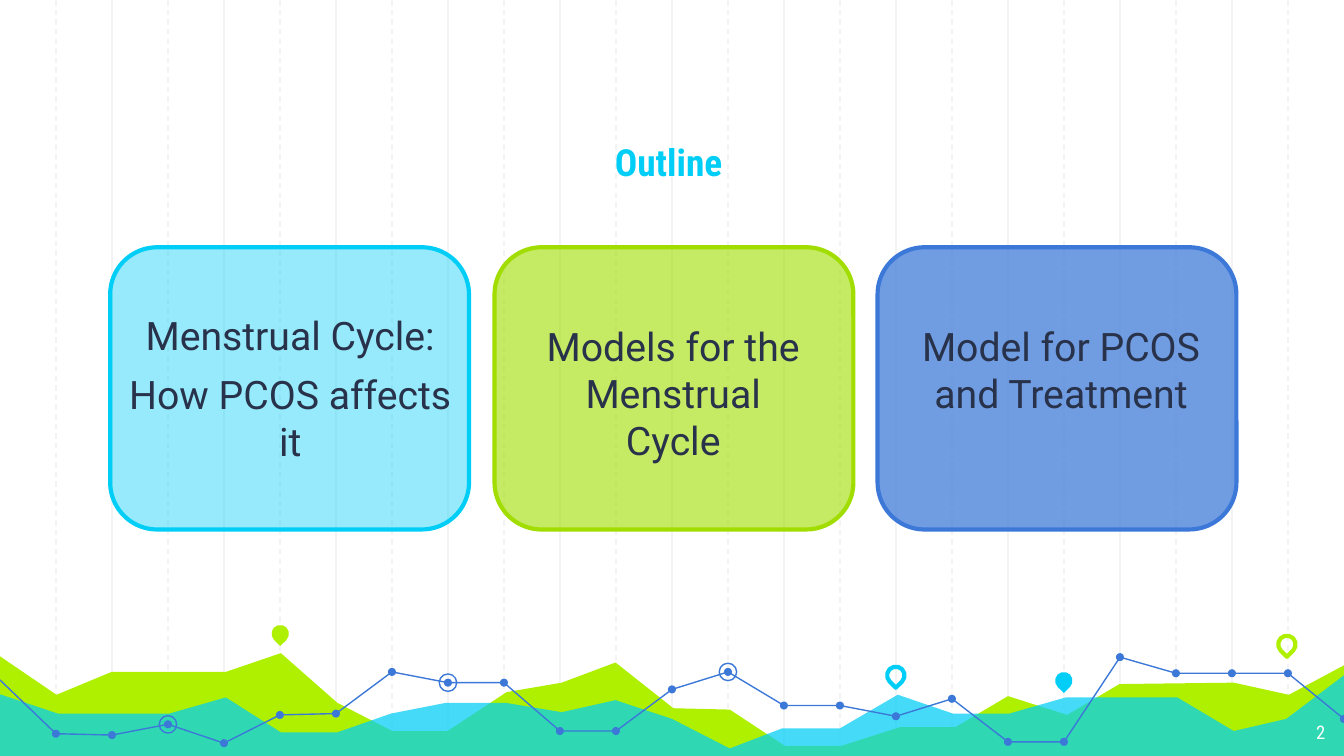
"""Build the outline slide with three topic cards over a chart-like landscape."""
from dataclasses import dataclass

from lxml.etree import SubElement
from pptx import Presentation
from pptx.dml.color import RGBColor
from pptx.enum.dml import MSO_LINE_DASH_STYLE as Dash
from pptx.enum.shapes import MSO_CONNECTOR as Connector, MSO_SHAPE as Shape
from pptx.enum.text import MSO_ANCHOR as Anchor, PP_ALIGN as Align
from pptx.oxml.ns import qn
from pptx.util import Inches, Pt


@dataclass(frozen=True)
class Theme:
    cyan: str = "00CEF6"
    lime: str = "AFF000"
    green: str = "A1DD00"
    blue: str = "3C78D8"
    ink: str = "28324A"
    grid: str = "F3F3F3"
    white: str = "FFFFFF"
    heading_font: str = "Roboto Condensed"
    body_font: str = "Roboto"
    title_size: int = 20
    body_size: int = 21
    number_size: int = 10


theme = Theme()


def paint(shape, fill=None, opacity=100, line=None, width=0.75):
    shape.shadow.inherit = False
    if fill:
        shape.fill.solid()
        shape.fill.fore_color.rgb = RGBColor.from_string(fill)
        if opacity < 100:
            color = shape.fill._xPr.find(".//" + qn("a:srgbClr"))
            SubElement(color, qn("a:alpha"), val=str(opacity * 1000))
    else:
        shape.fill.background()
    if line:
        shape.line.color.rgb = RGBColor.from_string(line)
        shape.line.width = Pt(width)
    else:
        shape.line.fill.background()


def write(shape, texts, size, font, color, align=Align.CENTER, bold=False, anchor=Anchor.TOP):
    frame = shape.text_frame
    frame.word_wrap = True
    frame.vertical_anchor = anchor
    frame.margin_left = frame.margin_right = Inches(0.1)
    frame.margin_top = frame.margin_bottom = Inches(0.1)
    for index, text in enumerate(texts):
        paragraph = frame.add_paragraph() if index else frame.paragraphs[0]
        paragraph.alignment = align
        paragraph.space_before = Pt(6 if index else 0)
        run = paragraph.add_run()
        run.text = text
        run.font.size = Pt(size)
        run.font.name = font
        run.font.bold = bold
        run.font.color.rgb = RGBColor.from_string(color)


presentation = Presentation()
presentation.slide_width = Inches(10)
presentation.slide_height = Inches(10 * 9 / 16)
slide = presentation.slides.add_slide(presentation.slide_layouts[5])
shapes = slide.shapes
step = 10 / 24

for first, dash in ((2, None), (1, Dash.DASH)):
    for column in range(first, 24, 2):
        x = Inches(column * step)
        grid_line = shapes.add_connector(Connector.STRAIGHT, x, 0, x, Inches(5.65))
        grid_line.line.color.rgb = RGBColor.from_string(theme.grid)
        grid_line.line.width = Pt(0.75)
        grid_line.line.dash_style = dash
        SubElement(grid_line._element.spPr, qn("a:effectLst"))

lime_hills = [
    (-0.02, 4.87), (0.42, 5.17), (0.83, 5), (1.68, 5), (2.09, 4.86), (2.51, 5.23),
    (2.92, 5.44), (3.33, 5.44), (3.77, 5.15), (4.18, 5.08), (4.58, 4.93), (5.01, 5.27),
    (5.43, 5.28), (5.84, 5.55), (6.26, 5.55), (6.7, 5.41), (7.11, 5.41), (7.5, 5.18),
    (7.94, 5.32), (8.33, 5.09), (9.18, 5.08), (9.59, 5.17), (10.02, 4.94),
]
cyan_hills = [
    (-0.02, 5.16), (0.43, 5.31), (1.26, 5.31), (1.68, 5.19), (2.09, 5.45), (2.51, 5.45),
    (2.91, 5.31), (3.32, 5.23), (3.76, 5.23), (4.18, 5.3), (4.58, 5.21), (5, 5.35),
    (5.43, 5.57), (5.82, 5.42), (6.25, 5.42), (6.68, 5.17), (7.09, 5.31), (7.51, 5.31),
    (7.93, 5.19), (8.76, 5.19), (9.18, 5.44), (9.57, 5.35), (10.02, 5.01),
]
for ridge, color, opacity in ((lime_hills, theme.lime, 100), (cyan_hills, theme.cyan, 73)):
    outline = [(Inches(x), Inches(y)) for x, y in ridge + [(10.02, 5.65), (-0.03, 5.65)]]
    builder = shapes.build_freeform(*outline[0])
    builder.add_line_segments(outline[1:], close=True)
    paint(builder.convert_to_shape(), color, opacity)

pins = [
    (2.02, 4.65, theme.lime, True), (6.6, 4.96, theme.cyan, False),
    (7.85, 5, theme.cyan, True), (9.51, 4.73, theme.lime, False),
]
for x, y, color, filled in pins:
    pin = shapes.add_shape(Shape.TEAR, Inches(x), Inches(y), Inches(0.13), Inches(0.13))
    pin.adjustments[0] = 1
    pin.rotation = 135
    if filled:
        paint(pin, color)
    else:
        paint(pin, line=color, width=2.25)

trend_heights = [
    5.06, 5.46, 5.47, 5.39, 5.53, 5.32, 5.31, 5, 5.08, 5.08, 5.44, 5.44, 5.13,
    5, 5.25, 5.25, 5.33, 5.2, 5.52, 5.52, 4.89, 5.01, 5.01, 5.01, 5.35,
]
trend = [(Inches(column * step), Inches(y)) for column, y in enumerate(trend_heights)]
for start, end in ((0, 11), (11, 20), (20, 24)):
    builder = shapes.build_freeform(*trend[start])
    builder.add_line_segments(trend[start + 1:end + 1], close=False)
    paint(builder.convert_to_shape(), line=theme.blue)

dot_size, ring_size = Inches(0.06), Inches(0.13)
for x, y in trend[1:]:
    dot = shapes.add_shape(
        Shape.OVAL, x - dot_size // 2, y - dot_size // 2, dot_size, dot_size)
    paint(dot, theme.blue)
for column in (3, 8, 13):
    x, y = trend[column]
    ring = shapes.add_shape(
        Shape.OVAL, x - ring_size // 2, y - ring_size // 2, ring_size, ring_size)
    paint(ring, line=theme.blue)

cards = [
    (6.53, theme.blue, 73, (6.67, 2.3, 2.45, 1.38), ["Model for PCOS and Treatment"]),
    (3.68, theme.green, 61, (3.88, 2.3, 2.26, 1.14), ["Models for the Menstrual Cycle"]),
    (0.82, theme.cyan, 41, (0.76, 2.22, 2.8, 1.93),
     ["Menstrual Cycle:", "How PCOS affects it"]),
]
for left, color, opacity, text_area, texts in cards:
    card = shapes.add_shape(
        Shape.ROUNDED_RECTANGLE, Inches(left), Inches(1.84), Inches(2.67), Inches(2.1))
    paint(card, color, opacity, line=color, width=2.25)
    label = shapes.add_textbox(*map(Inches, text_area))
    write(label, texts, theme.body_size, theme.body_font, theme.ink)

title = shapes.title
title.element.getparent().append(title.element)
title.left, title.top, title.width, title.height = map(Inches, (1.15, 0.69, 7.65, 0.78))
write(title, ["Outline"], theme.title_size, theme.heading_font, theme.cyan,
      bold=True, anchor=Anchor.BOTTOM)

page_number = shapes.add_textbox(Inches(9.36), Inches(5.28), Inches(0.6), Inches(0.35))
write(page_number, ["2"], theme.number_size, theme.heading_font, theme.white, Align.RIGHT)

presentation.save("out.pptx")
